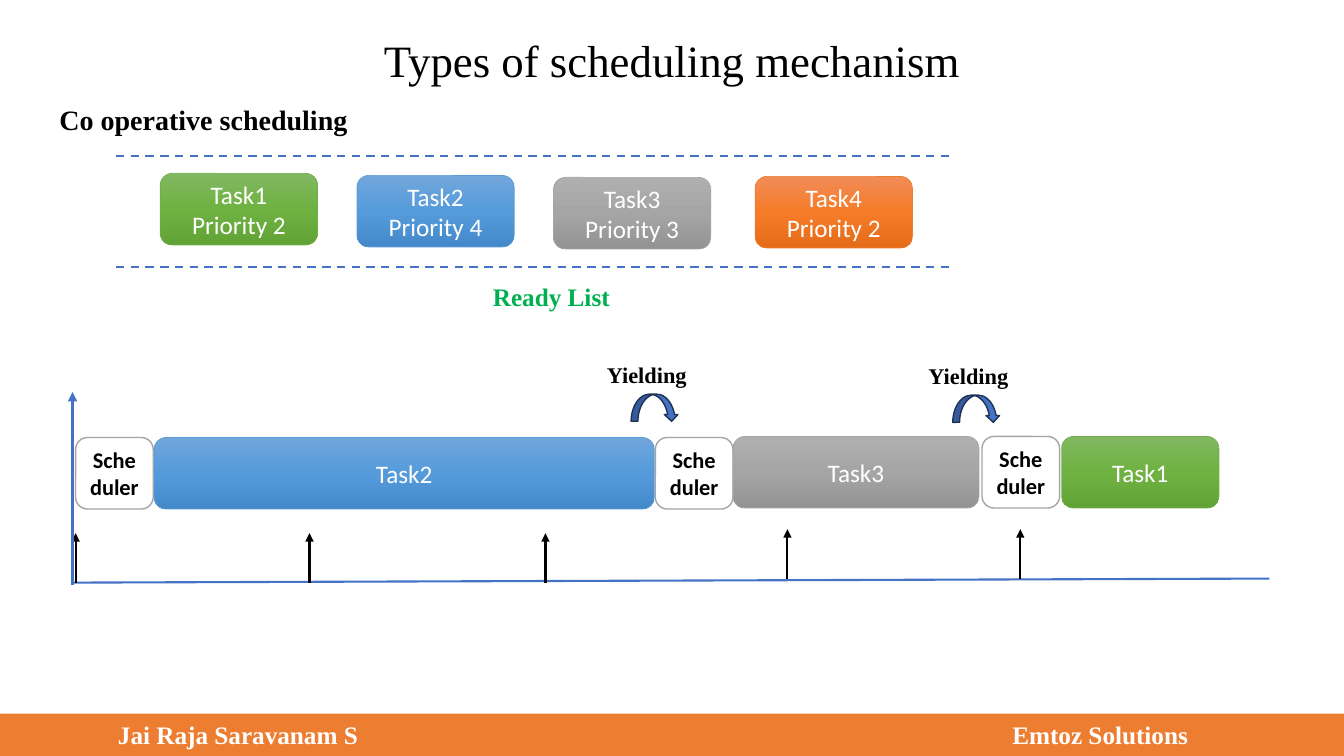
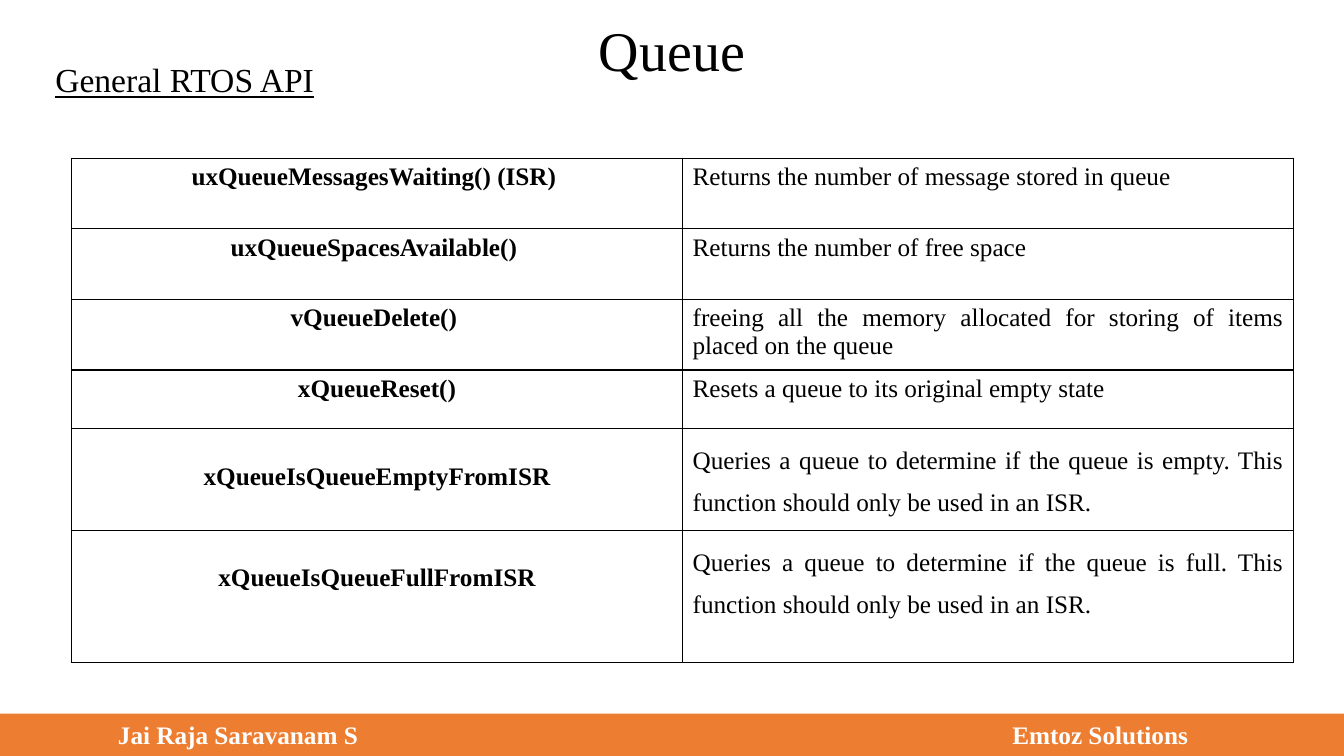
from copy import deepcopy
from typing import NamedTuple

from lxml.etree import SubElement
from pptx import Presentation
from pptx.dml.color import RGBColor
from pptx.enum.dml import MSO_LINE
from pptx.enum.shapes import MSO_CONNECTOR, MSO_SHAPE
from pptx.enum.text import MSO_ANCHOR, PP_ALIGN
from pptx.oxml.ns import qn
from pptx.util import Inches, Pt

COLORS = {
    "black": "000000", "white": "FFFFFF", "bar": "ED7D31", "blue": "4472C4",
    "navy": "1E3256", "gray": "A5A5A5", "ready": "00B050",
}
SERIF, SANS = "Times New Roman", "Calibri"


class Task(NamedTuple):
    name: str
    priority: str
    gradient: tuple[str, str, str]
    line: str


class Box(NamedTuple):
    x: float
    y: float
    w: float
    h: float


class Style(NamedTuple):
    size: float
    color: str = "black"
    font: str = SERIF
    bold: bool = False
    underline: bool = False
    align: PP_ALIGN = PP_ALIGN.LEFT
    spacing: float = 1.0


class ApiRow(NamedTuple):
    function: str
    purpose: str
    height: float
    top: float = 0.05
    spacing: float = 1.0


TASKS = {
    1: Task("Task1", "Priority 2", ("81B861", "6FB242", "62A336"), "70AD47"),
    2: Task("Task2", "Priority 4", ("71A6DB", "559BDB", "448ACA"), "5B9BD5"),
    3: Task("Task3", "Priority 3", ("AFAFAF", "A5A5A5", "939393"), "A5A5A5"),
    4: Task("Task4", "Priority 2", ("F18C57", "F67B28", "E56C19"), "ED7D31"),
}
API_ROWS = [
    ApiRow("uxQueueMessagesWaiting() (ISR) ",
           "Returns the number of message stored in queue", 0.7),
    ApiRow("uxQueueSpacesAvailable() ", "Returns the number of free space", 0.7),
    ApiRow("vQueueDelete() ",
           "freeing all the memory allocated for storing of items placed on the queue", 0.7),
    ApiRow("xQueueReset()", "Resets a queue to its original empty state", 0.58),
    ApiRow("xQueueIsQueueEmptyFromISR",
           "Queries a queue to determine if the queue is empty. "
           "This function should only be used in an ISR.", 1.01, 0.34, 1.5),
    ApiRow("xQueueIsQueueFullFromISR",
           "Queries a queue to determine if the queue is full. "
           "This function should only be used in an ISR.", 1.31, 0.34, 1.5),
]
TASK_W, BOX_H, SCHEDULER_W = 1.56, 0.71, 0.77


def rgb(value: str) -> RGBColor:
    return RGBColor.from_string(COLORS.get(value, value))


def write(tf, lines: list[str], style: Style) -> None:
    for i, line in enumerate(lines):
        p = tf.add_paragraph() if i else tf.paragraphs[0]
        p.alignment, p.line_spacing = style.align, style.spacing
        r = p.add_run()
        r.text = line
        r.font.name, r.font.size = style.font, Pt(style.size)
        r.font.bold, r.font.underline = style.bold, style.underline
        r.font.color.rgb = rgb(style.color)


def add_text(s, text: str, box: Box, style: Style) -> None:
    tf = s.shapes.add_textbox(*map(Inches, box)).text_frame
    tf.word_wrap = True
    write(tf, [text], style)


def add_box(s, kind, box: Box, fill: str, line: str | None = None, width: float = 1):
    sp = s.shapes.add_shape(kind, *map(Inches, box))
    sp.shadow.inherit = False
    sp.fill.solid()
    sp.fill.fore_color.rgb = rgb(fill)
    if line:
        sp.line.color.rgb = rgb(line)
        sp.line.width = Pt(width)
    else:
        sp.line.fill.background()
    sp.text_frame.vertical_anchor = MSO_ANCHOR.MIDDLE
    sp.text_frame.word_wrap = True
    return sp


def add_task(s, task: Task, box: Box, lines: list[str]) -> None:
    sp = add_box(s, MSO_SHAPE.ROUNDED_RECTANGLE, box, task.gradient[1], task.line, 0.5)
    sp.fill.gradient()
    sp.fill.gradient_angle = 270
    # The default gradient has two stops; a third one goes between them
    stops = next(sp._element.iter(qn("a:gsLst")))
    stops.insert(1, deepcopy(stops[0]))
    for stop, position, color in zip(sp.fill.gradient_stops, (0, 0.5, 1), task.gradient):
        stop.position = position
        stop.color.rgb = rgb(color)
    write(sp.text_frame, lines, Style(18, "white", SANS, align=PP_ALIGN.CENTER))


def add_line(s, start: tuple[float, float], end: tuple[float, float], color: str,
             width: float = 1.5, dashed: bool = False, arrow: bool = False) -> None:
    c = s.shapes.add_connector(MSO_CONNECTOR.STRAIGHT, *map(Inches, start + end))
    c.line.color.rgb = rgb(color)
    c.line.width = Pt(width)
    if dashed:
        c.line.dash_style = MSO_LINE.DASH
    if arrow:
        SubElement(c.line._get_or_add_ln(), qn("a:tailEnd"), type="triangle")
    SubElement(c._element.spPr, qn("a:effectLst"))


def add_borders(cell) -> None:
    tc_pr = cell._tc.get_or_add_tcPr()
    for i, side in enumerate(("lnL", "lnR", "lnT", "lnB")):
        ln = SubElement(tc_pr, qn(f"a:{side}"), w=str(Pt(1)))
        fill = SubElement(ln, qn("a:solidFill"))
        SubElement(fill, qn("a:srgbClr"), val=COLORS["black"])
        tc_pr.insert(i, ln)


def new_slide(prs, title: str, top: float, size: float):
    s = prs.slides.add_slide(prs.slide_layouts[6])
    add_text(s, title, Box(0.6, top, 12.13, 0.8),
             Style(size, align=PP_ALIGN.CENTER, spacing=0.9))
    # Footer band: author, then organisation at a tab stop
    bar = add_box(s, MSO_SHAPE.RECTANGLE, Box(0, 7.08, 13.33, 0.42), "bar")
    tf = bar.text_frame
    tf.margin_left = Inches(1.17)
    write(tf, ["Jai Raja Saravanam S\tEmtoz Solutions"], Style(18, "white", bold=True))
    tabs = SubElement(tf.paragraphs[0]._p.get_or_add_pPr(), qn("a:tabLst"))
    SubElement(tabs, qn("a:tab"), pos=str(Inches(8.87)), algn="l")
    return s


def scheduling_slide(prs) -> None:
    s = new_slide(prs, "Types of scheduling mechanism", 0.34, 32)
    add_text(s, "Co operative scheduling", Box(0.49, 0.8, 11.94, 0.55),
             Style(20, bold=True, spacing=1.5))

    # Ready list between dashed lines
    for number, x, y in ((1, 1.59, 1.72), (2, 3.54, 1.74), (3, 5.49, 1.76), (4, 7.49, 1.75)):
        task = TASKS[number]
        add_task(s, task, Box(x, y, TASK_W, BOX_H), [task.name, task.priority])
    for y in (1.55, 2.65):
        add_line(s, (1.15, y), (9.46, y), "blue", dashed=True)
    add_text(s, "Ready List", Box(4.79, 2.74, 1.39, 0.4), Style(18, "ready", bold=True))

    # Timeline of scheduler and task runs
    for x, y in ((0.75, 4.34), (6.5, 4.34), (9.74, 4.33)):
        sp = add_box(s, MSO_SHAPE.ROUNDED_RECTANGLE, Box(x, y, SCHEDULER_W, BOX_H),
                     "white", "gray")
        write(sp.text_frame, ["Scheduler"],
              Style(16, font=SANS, bold=True, align=PP_ALIGN.CENTER))
    for number, x, y, w in ((2, 1.53, 4.34, 4.96), (3, 7.27, 4.33, 2.44),
                            (1, 10.53, 4.33, TASK_W)):
        add_task(s, TASKS[number], Box(x, y, w, BOX_H), [TASKS[number].name])

    # Axes and ticks
    add_line(s, (0.72, 5.78), (12.59, 5.74), "blue")
    for x, y in ((0.75, 5.78), (3.07, 5.78), (5.41, 5.78), (7.81, 5.74), (10.12, 5.74)):
        add_line(s, (x, y), (x, y - 0.49), "black", arrow=True)
    add_line(s, (0.72, 5.8), (0.72, 3.89), "blue", 2.25, arrow=True)

    # Yield points
    for x, y in ((5.61, 3.53), (8.8, 3.54)):
        add_text(s, "Yielding", Box(x, y, 1.61, 0.37),
                 Style(16, bold=True, align=PP_ALIGN.CENTER))
        add_box(s, MSO_SHAPE.CURVED_DOWN_ARROW, Box(x + 0.65, y + 0.38, 0.47, 0.27),
                "blue", "navy")


def queue_slide(prs) -> None:
    s = new_slide(prs, "Queue", 0.18, 40)
    add_text(s, "General RTOS API", Box(0.45, 0.54, 12.66, 0.5),
             Style(24, underline=True, align=PP_ALIGN.JUSTIFY))

    # API table
    table = s.shapes.add_table(len(API_ROWS), 2, Inches(0.71), Inches(1.57),
                               Inches(12.12), Inches(5)).table
    table.first_row = table.horz_banding = False
    for i, row in enumerate(API_ROWS):
        table.rows[i].height = Inches(row.height)
        function, purpose = table.cell(i, 0), table.cell(i, 1)
        for cell in (function, purpose):
            cell.fill.background()
            add_borders(cell)
        function.margin_top = Inches(row.top)
        write(function.text_frame, [row.function],
              Style(18, bold=True, align=PP_ALIGN.CENTER))
        write(purpose.text_frame, [row.purpose],
              Style(18, align=PP_ALIGN.JUSTIFY, spacing=row.spacing))


def main() -> None:
    prs = Presentation()
    prs.slide_width, prs.slide_height = Inches(13.33), Inches(7.5)
    scheduling_slide(prs)
    queue_slide(prs)
    prs.save("out.pptx")


if __name__ == "__main__":
    main()
